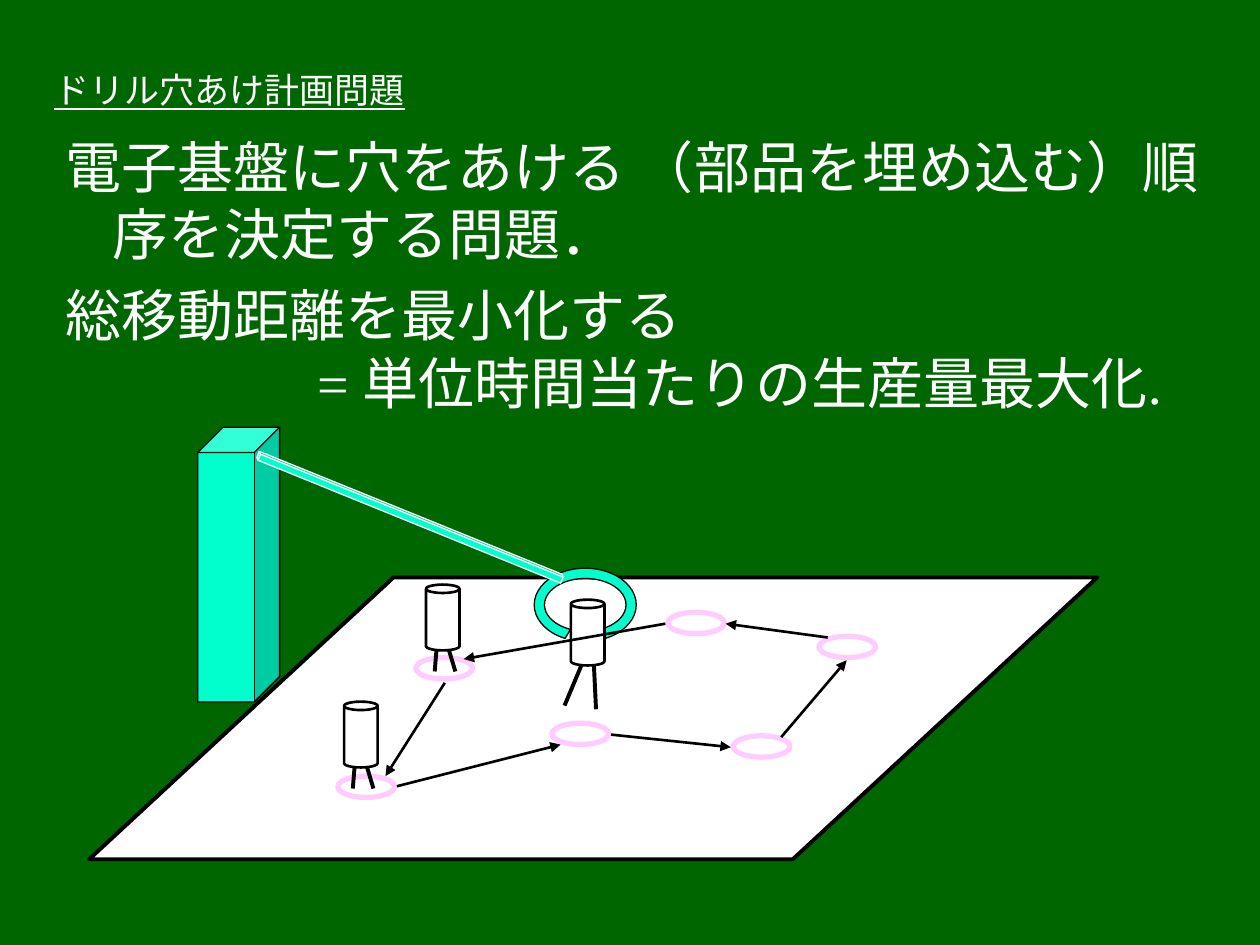
from lxml.etree import SubElement
from pptx import Presentation
from pptx.dml.color import RGBColor
from pptx.enum.lang import MSO_LANGUAGE_ID
from pptx.enum.shapes import MSO_CONNECTOR, MSO_SHAPE
from pptx.enum.text import MSO_ANCHOR
from pptx.oxml.ns import qn
from pptx.util import Pt

GREEN = RGBColor(0x00, 0x66, 0x00)
WHITE = RGBColor(0xFF, 0xFF, 0xFF)
BLACK = RGBColor(0x00, 0x00, 0x00)
PINK = RGBColor(0xFF, 0xCC, 0xFF)
TEAL = RGBColor(0x00, 0xFF, 0xCC)
FONT = "Times New Roman"

TITLE = "ドリル穴あけ計画問題"
# text, left margin, first-line indent, line spacing
BODY = [
    ("電子基盤に穴をあける （部品を埋め込む）順序を決定する問題．", 27, -27, 1.0),
    ("総移動距離を最小化する", 27, -27, 1.0),
    ("= 単位時間当たりの生産量最大化.", 144, 0, 0.8),
]

BOARD = (51, 330, 576, 161)
HOLE_SIZE = (32.4, 12.2)
HOLES = [(237.6, 375.8), (193, 443.5), (381.6, 349.9),
         (315.4, 413.3), (468, 363.6), (419, 420.5)]

DRILL_SIZE = (19.2, 37.6)
LEG_TOPS = (6, 13.2)
SHORT_LEGS = [(5, 49.6), (16.8, 49.6)]
LONG_LEGS = [(-3.6, 60.5), (14.4, 62.6)]
PARKED_DRILLS = [(196.6, 401), (243.4, 334.1)]
ARM_DRILL = (326.2, 342.7)

COLUMN = (113, 244.1, 46.8, 157)
RING = (305.3, 324.7, 58.3, 41.8)
ARM = (231.8, 201.6, 5, 187.9)
ARM_ANGLE = 292.1

ROUTE = [
    ((254.2, 390.2), (220.3, 443.5)),
    ((226.8, 449.3), (320.4, 425.5)),
    ((349.2, 419.8), (417.6, 427)),
    ((446.4, 421.2), (483.8, 377.3)),
    ((473, 364.3), (414.7, 356.4)),
    ((380.2, 356.4), (265, 376.6)),
]


def add_text(page, frame, paragraphs, size, underline=None, anchor=MSO_ANCHOR.TOP):
    box = page.shapes.add_textbox(*map(Pt, frame))
    box.text_frame.word_wrap = True
    box.text_frame.vertical_anchor = anchor
    for number, (text, margin, indent, spacing) in enumerate(paragraphs):
        para = box.text_frame.paragraphs[0] if number == 0 else box.text_frame.add_paragraph()
        properties = para._p.get_or_add_pPr()
        properties.set("marL", str(Pt(margin)))
        properties.set("indent", str(Pt(indent)))
        para.line_spacing = spacing
        para.space_before = Pt(8 if number else 0)
        span = para.add_run()
        span.text = text
        span.font.name = FONT
        span.font.size = Pt(size)
        span.font.underline = underline
        span.font.color.rgb = WHITE
        span.font.language_id = MSO_LANGUAGE_ID.JAPANESE


def add_part(group, kind, frame, fill=WHITE, line=BLACK, width=0.75, adjust=(), angle=0):
    part = group.shapes.add_shape(kind, *map(Pt, frame))
    part.shadow.inherit = False
    part.fill.solid()
    part.fill.fore_color.rgb = fill
    part.line.color.rgb = line
    part.line.width = Pt(width)
    part.rotation = angle
    for index, value in enumerate(adjust):
        part.adjustments[index] = value


def add_line(group, start, end, width, arrow=False):
    line = group.shapes.add_connector(MSO_CONNECTOR.STRAIGHT, *map(Pt, (*start, *end)))
    line.line.color.rgb = BLACK
    line.line.width = Pt(width)
    if arrow:
        SubElement(line.line._get_or_add_ln(), qn("a:tailEnd"), type="triangle")
    SubElement(line._element.spPr, qn("a:effectLst"))


def add_drill(group, corner, legs):
    left, top = corner
    add_part(group, MSO_SHAPE.CAN, (*corner, *DRILL_SIZE), width=1.5, adjust=[0.25])
    for leg_left, (tip_left, tip_top) in zip(LEG_TOPS, legs):
        add_line(group, (left + leg_left, top + DRILL_SIZE[1]),
                 (left + tip_left, top + tip_top), 2.25)


def main():
    deck = Presentation()
    deck.slide_width, deck.slide_height = Pt(720), Pt(540)
    page = deck.slides.add_slide(deck.slide_layouts[6])
    page.background.fill.solid()
    page.background.fill.fore_color.rgb = GREEN

    machine = page.shapes.add_group_shape()
    add_part(machine, MSO_SHAPE.PARALLELOGRAM, BOARD, width=2.25, adjust=[1.08])
    for hole in HOLES:
        add_part(machine, MSO_SHAPE.OVAL, (*hole, *HOLE_SIZE), line=PINK, width=3)
    for drill in PARKED_DRILLS:
        add_drill(machine, drill, SHORT_LEGS)
    add_part(machine, MSO_SHAPE.CUBE, COLUMN, fill=TEAL, adjust=[0.31])
    add_part(machine, MSO_SHAPE.BLOCK_ARC, RING, fill=TEAL, adjust=[72.58, 35.42, 0.14])
    add_part(machine, MSO_SHAPE.CUBE, ARM, fill=TEAL, line=WHITE, adjust=[0.25],
             angle=ARM_ANGLE)
    add_drill(machine, ARM_DRILL, LONG_LEGS)

    add_text(page, (23.8, 36, 635.8, 30.2), [(TITLE, 0, 0, 1.0)], 20,
             underline=True, anchor=MSO_ANCHOR.MIDDLE)
    add_text(page, (30.2, 72, 666, 408.2), BODY, 32)

    route = page.shapes.add_group_shape()
    for start, end in ROUTE:
        add_line(route, start, end, 1.5, arrow=True)

    deck.save("out.pptx")


if __name__ == "__main__":
    main()
